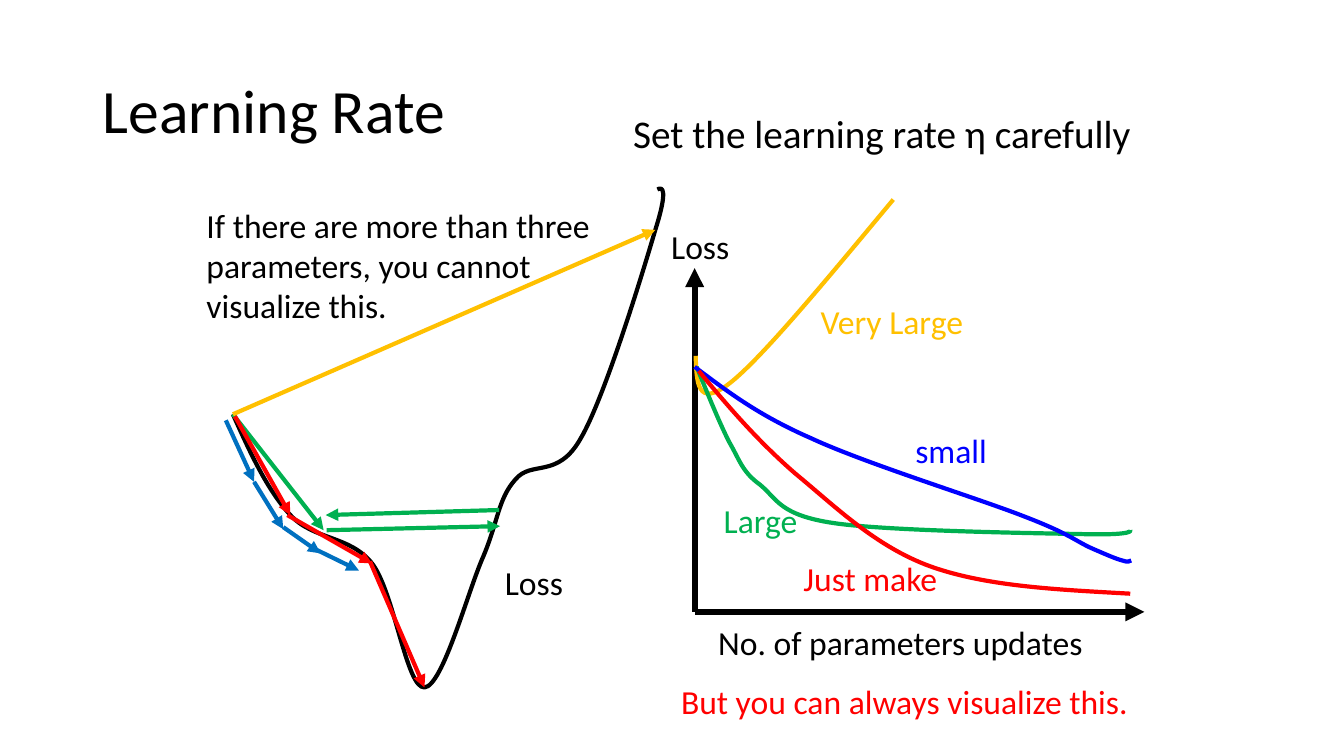
from dataclasses import dataclass

from pptx import Presentation, util as u
from pptx.dml import color as colors
from pptx.enum import shapes, text
from pptx.oxml import ns, xmlchemy

FONT = "Calibri"
BLACK, RED, GREEN, GOLD = "000000", "FF0000", "00B050", "FFC000"
STEEL, BLUE = "0070C0", "0000FF"
LEFT, CENTER = text.PP_ALIGN.LEFT, text.PP_ALIGN.CENTER

LOSS_SURFACE = [
    (6.2, 46.2), (9.6, 53.8), (13, 61.2), (17.6, 66.2),
    (22.2, 71.2), (29.4, 70.2), (33.8, 75.8),
    (38.2, 81.4), (40.6, 100.6), (44.2, 100.4),
    (47.8, 100.2), (52.8, 81.4), (55.8, 74.6),
    (58.8, 67.6), (58.8, 63), (62.2, 59.2),
    (65.4, 55.2), (70.6, 59.2), (75.2, 51),
    (80, 42.8), (87.6, 17.8), (90, 9.6),
    (92.6, 1.4), (91.4, 1), (90.4, 1.6)]
STEPS = [
    (GREEN, (6.2, 46.2), (24.2, 69.2)),
    (GOLD, (6.2, 46.2), (90, 9.6)),
    (GREEN, (24.8, 69.2), (59.2, 68.4)),
    (RED, (6.6, 46.6), (17.6, 66.2)),
    (RED, (17, 66.2), (33.8, 75.8)),
    (RED, (33.4, 75.4), (44.2, 100.4)),
    (STEEL, (4.8, 47.4), (10.4, 59.6)),
    (STEEL, (10.4, 59.6), (16.2, 69)),
    (STEEL, (16.2, 68.6), (23.6, 73.8)),
    (STEEL, (22.6, 73), (31.2, 77.2)),
    (GREEN, (59, 65.2), (24.6, 66.2))]
LOSS_CURVES = [
    (GOLD, [(0.2, 31), (0.4, 36.2), (0.4, 41.6), (7, 36.4),
            (13.4, 31.4), (26.4, 15.6), (39.4, 0)]),
    (GREEN, [(0.4, 33.2), (2.6, 38.6), (4.8, 44), (6.8, 48),
             (9, 51.8), (9.4, 54), (13, 56.6),
             (16.4, 59.4), (16.8, 62.6), (27.6, 64.2),
             (38.4, 65.8), (68, 66.2), (77.8, 66.4),
             (87.6, 66.6), (86.4, 65.6), (86.4, 65.6)]),
    (BLUE, [(0, 33.2), (6.2, 37.8), (12.2, 42.6), (23.2, 47.4),
            (34, 52.4), (56, 59.2), (65.2, 62.8),
            (74.6, 66.4), (75.6, 67.8), (78.8, 69.2),
            (82, 70.6), (83.4, 71.2), (84.8, 71.6),
            (86, 72), (86.2, 71.8), (86.6, 71.6)]),
    (RED, [(0.8, 34), (6.6, 41), (12.4, 47.8), (20, 54.4),
           (27.8, 60.8), (35.8, 68.8), (46.8, 72.8),
           (58, 76.8), (72.2, 77.4), (86.4, 78.2)])]
CHART_LABELS = [
    ("No. of parameters updates", (-3.8, 82.8, 89.2, 10), BLACK, CENTER),
    ("Loss", (-11.4, 4.2, 25, 10), BLACK, CENTER),
    ("Very Large", (23, 19.2, 48, 10), GOLD, LEFT),
    ("Large", (3.8, 58.6, 19.2, 18.2), GREEN, LEFT),
    ("small", (41.8, 44.8, 19.2, 18.2), BLUE, LEFT),
    ("Just make", (19.6, 70.2, 31.8, 18.2), RED, LEFT),
    ("But you can always visualize this.", (-10.4, 94.6, 104, 10), RED, CENTER)]


@dataclass
class Box:
    """A region in inches whose inner positions are percentages."""
    left: float
    top: float
    width: float
    height: float

    def point(self, x, y):
        """Return a position inside the region in slide units."""
        return (u.Inches(self.left + self.width * x / 100),
                u.Inches(self.top + self.height * y / 100))

    def place(self, shape):
        """Make the shape fill the region."""
        shape.left, shape.top = u.Inches(self.left), u.Inches(self.top)
        shape.width, shape.height = u.Inches(self.width), u.Inches(self.height)


def rgb(value):
    """Turn a hex string into a colour."""
    return colors.RGBColor.from_string(value)


def write(frame, words, size=24, color=BLACK, align=LEFT, spacing=None, before=None):
    """Put one formatted paragraph in a text frame and return it."""
    frame.word_wrap = True
    para = frame.paragraphs[0]
    para.alignment, para.line_spacing = align, spacing
    if before is not None:
        para.space_before = u.Pt(before)
    span = para.add_run()
    span.text = words
    span.font.name, span.font.size = FONT, u.Pt(size)
    span.font.color.rgb = rgb(color)
    return para


def add_label(page, box, words, place, color=BLACK, align=LEFT):
    """Add a text box at a left, top, width and height in percent of the box."""
    left, top, width, height = place
    label = page.shapes.add_textbox(
        *box.point(left, top), u.Inches(box.width * width / 100),
        u.Inches(box.height * height / 100))
    write(label.text_frame, words, color=color, align=align)
    label.text_frame.auto_size = text.MSO_AUTO_SIZE.SHAPE_TO_FIT_TEXT


def add_arrow(page, box, color, start, end, weight=3):
    """Draw a straight arrow between two points of the box."""
    arrow = page.shapes.add_connector(
        shapes.MSO_CONNECTOR.STRAIGHT, *box.point(*start), *box.point(*end))
    arrow.line.color.rgb, arrow.line.width = rgb(color), u.Pt(weight)
    tip = xmlchemy.OxmlElement("a:tailEnd")
    tip.set("type", "triangle")
    arrow.line._get_or_add_ln().append(tip)
    arrow._element.spPr.append(xmlchemy.OxmlElement("a:effectLst"))


def add_curve(page, box, color, knots):
    """Draw an open chain of cubic Bézier segments inside the box."""
    places = [box.point(*knot) for knot in knots]
    builder = page.shapes.build_freeform(*places[0])
    builder.add_line_segments(places[3::3], close=False)
    curve = builder.convert_to_shape()
    outline = curve._element.find(".//" + ns.qn("a:path"))
    for straight in outline.findall(ns.qn("a:lnTo")):
        outline.remove(straight)
    for first in range(1, len(places), 3):
        segment = xmlchemy.OxmlElement("a:cubicBezTo")
        for x, y in places[first:first + 3]:
            handle = xmlchemy.OxmlElement("a:pt")
            handle.set("x", str(x - curve.left))
            handle.set("y", str(y - curve.top))
            segment.append(handle)
        outline.append(segment)
    curve.shadow.inherit = False
    curve.fill.background()
    curve.line.color.rgb, curve.line.width = rgb(color), u.Pt(3)


def add_heading(page, title_box, body_box):
    """Fill the title and the unbulleted line beside it."""
    title, body = page.shapes.title, page.placeholders[1]
    title_box.place(title)
    body_box.place(body)
    title.text_frame.vertical_anchor = text.MSO_ANCHOR.MIDDLE
    write(title.text_frame, "Learning Rate", size=44, spacing=0.9)
    para = write(body.text_frame, "Set the learning rate η carefully",
                 size=28, spacing=0.9, before=10)
    settings = para._p.get_or_add_pPr()
    settings.set("marL", "0")
    settings.set("indent", "0")
    settings.append(xmlchemy.OxmlElement("a:buNone"))


def add_descent(page, box):
    """Draw the loss surface with the steps each learning rate takes."""
    add_curve(page, box, BLACK, LOSS_SURFACE)
    add_label(page, box, "Loss", (53.4, 74.6, 25, 10), align=CENTER)
    add_label(page, box, "If there are more than three parameters, you cannot visualize this.",
              (-1, 3.6, 88.6, 26.2))
    for color, start, end in STEPS:
        add_arrow(page, box, color, start, end)


def add_loss_chart(page, box):
    """Draw the axes, the sketched loss curves and their labels."""
    corner = (0, 81.8)
    for end in ((89.2, 81.8), (0, 13.6)):
        add_arrow(page, box, BLACK, corner, end, weight=4.5)
    for color, knots in LOSS_CURVES:
        add_curve(page, box, color, knots)
    for words, place, color, align in CHART_LABELS:
        add_label(page, box, words, place, color, align)


def main():
    """Build and save the deck."""
    deck = Presentation()
    deck.slide_width, deck.slide_height = u.Inches(13.33), u.Inches(7.5)
    page = deck.slides.add_slide(deck.slide_layouts[1])
    add_heading(page, Box(0.92, 0.4, 11.5, 1.45), Box(6.18, 1.09, 5.62, 0.77))
    add_loss_chart(page, Box(6.89, 1.98, 5, 5))
    add_descent(page, Box(2, 1.8, 5, 5))
    deck.save("out.pptx")


if __name__ == "__main__":
    main()
